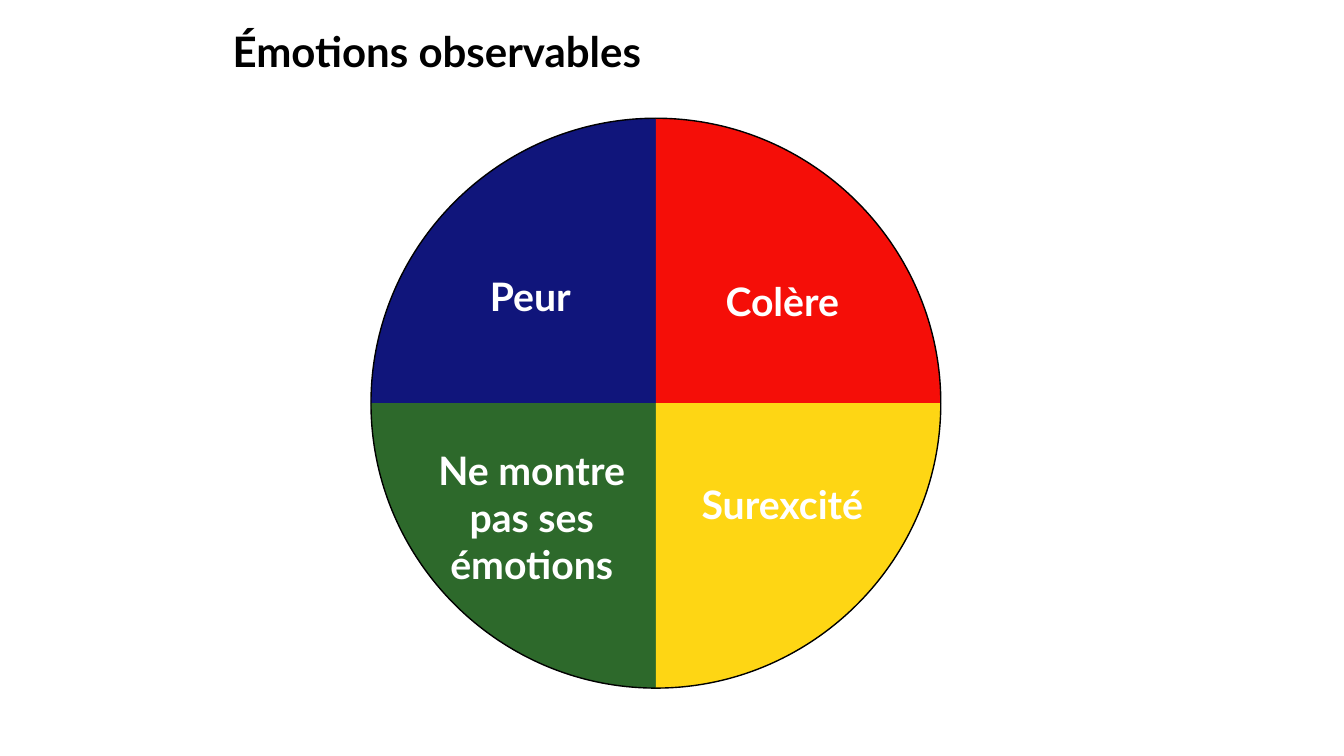
from copy import deepcopy
from math import cos, radians, sin

from pptx import Presentation
from pptx.dml.color import RGBColor
from pptx.enum.text import MSO_ANCHOR, MSO_AUTO_SIZE, PP_ALIGN
from pptx.oxml.ns import qn
from pptx.util import Cm, Pt

COLORS = {
    "blue": "10157B", "red": "F50E08", "green": "2D692B", "yellow": "FED614",
    "black": "000000", "white": "FFFFFF",
}
FONT = "Lato"
TITLE = "Émotions observables"
TITLE_BOX = (5.61, 0.38, 23.44, 1.98)
HUB = (16.53, 10.16)
RADIUS = 7.18
BEND = 0.55  # handle length of a quarter circle, in radii

# colour, start angle (clockwise from the right)
SECTORS = [("blue", 180), ("red", 270), ("green", 90), ("yellow", 0)]
LABELS = [
    ("Colère", (16.54, 6.86, 6.35, 1.45)),
    ("Surexcité", (16.54, 11.99, 6.35, 1.45)),
    ("Ne montre pas ses émotions", (10.01, 11.13, 6.78, 3.84)),
    ("Peur", (10.19, 6.73, 6.35, 1.45)),
]


def rgb(name):
    return RGBColor.from_string(COLORS[name])


def style(para, size, color, align):
    para.alignment = align
    font = para.font
    font.name, font.size, font.bold = FONT, Pt(size), True
    font.color.rgb = rgb(color)


def add_sector(group, color, start):
    """Draw a quarter disc whose curved edge alone is outlined."""
    c, s = cos(radians(start)), sin(radians(start))
    turns = [(1, 0), (1, BEND), (BEND, 1), (0, 1), (0, 0)]
    first, *rest = [(Cm(HUB[0] + RADIUS * (u * c - v * s)),
                     Cm(HUB[1] + RADIUS * (u * s + v * c)))
                    for u, v in turns]
    pen = group.shapes.build_freeform(*first)
    pen.add_line_segments(rest, close=True)
    shape = pen.convert_to_shape()
    shape.shadow.inherit = False
    shape.fill.solid()
    shape.fill.fore_color.rgb = rgb(color)
    shape.line.color.rgb = rgb("black")
    shape.line.width = Pt(1)

    area = shape.element.xpath(".//a:path")[0]
    curve = area.makeelement(qn("a:cubicBezTo"))
    for leg in area[1:4]:  # two handles and the end of the arc
        curve.append(leg[0])
        area.remove(leg)
    area.insert(1, curve)
    edge = deepcopy(area)
    for side in edge[2:]:
        edge.remove(side)
    edge.set("fill", "none")
    area.set("stroke", "0")
    area.addprevious(edge)


def add_label(slide, text, box):
    frame = slide.shapes.add_textbox(*map(Cm, box)).text_frame
    frame.word_wrap = True
    frame.auto_size = MSO_AUTO_SIZE.SHAPE_TO_FIT_TEXT
    frame.text = text
    style(frame.paragraphs[0], 28, "white", PP_ALIGN.CENTER)


def main():
    prs = Presentation()
    prs.slide_width, prs.slide_height = Cm(33.87), Cm(19.05)
    slide = prs.slides.add_slide(prs.slide_layouts[5])

    title = slide.shapes.title
    title.left, title.top, title.width, title.height = map(Cm, TITLE_BOX)
    frame = title.text_frame
    frame.text = TITLE
    frame.auto_size = MSO_AUTO_SIZE.NONE
    frame.vertical_anchor = MSO_ANCHOR.MIDDLE
    frame.paragraphs[0].line_spacing = 0.9
    style(frame.paragraphs[0], 30, "black", PP_ALIGN.LEFT)

    wheel = slide.shapes.add_group_shape()
    for color, start in SECTORS:
        add_sector(wheel, color, start)
    for text, box in LABELS:
        add_label(slide, text, box)
    prs.save("out.pptx")


if __name__ == "__main__":
    main()
